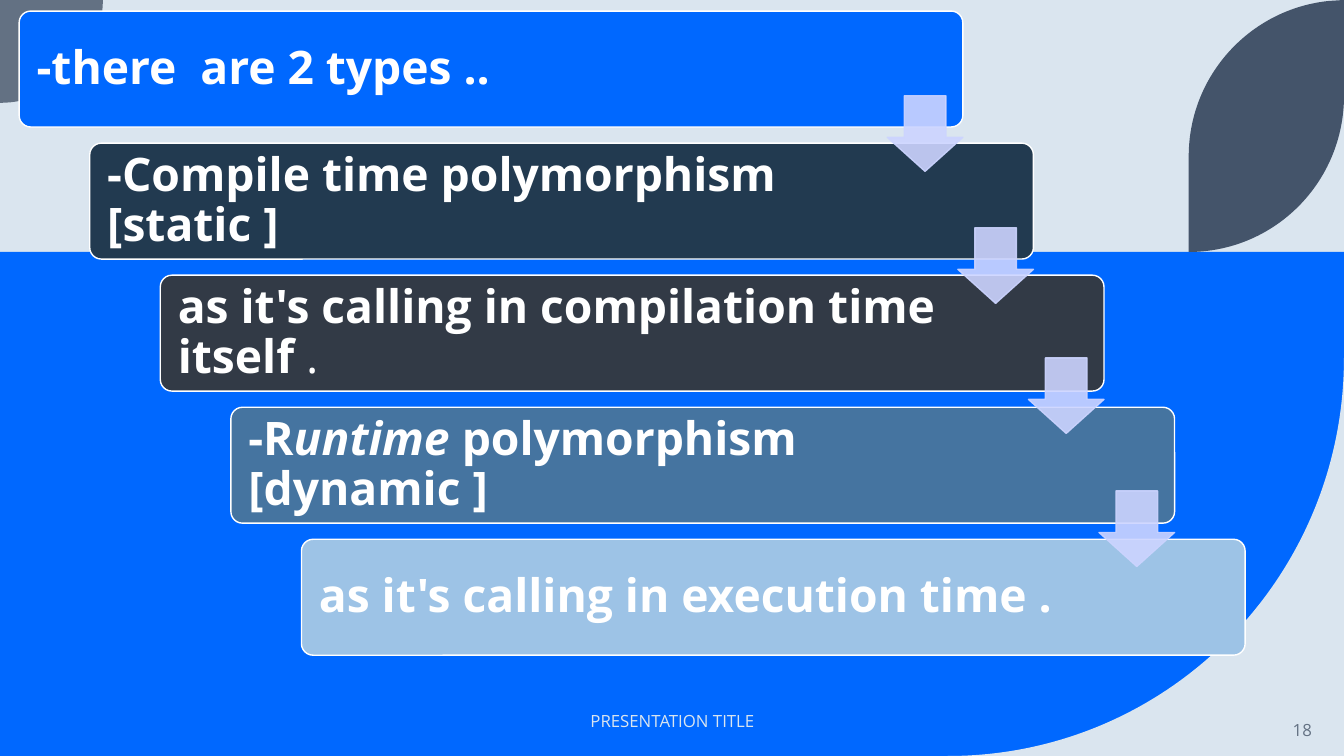
from lxml import etree
from pptx import Presentation
from pptx.dml.color import RGBColor
from pptx.enum.shapes import MSO_SHAPE
from pptx.enum.text import MSO_ANCHOR, PP_ALIGN
from pptx.oxml.ns import qn
from pptx.util import Inches, Pt

STEPS = [
    ("0068FF", [("-there\u00a0 are 2 types ..", "b")]),
    ("223A50", [("-Compile time polymorphism [static ]\u00a0 ", "b")]),
    ("323A46", [("as it's calling in compilation time itself", "b"), ("\u00a0.", "")]),
    ("4574A0", [("-R", "b"), ("untime", "bi"), (" polymorphism\u00a0 [dynamic ] ", "b")]),
    ("9DC3E6", [("as it's calling in execution time .", "b")]),
]
ARROW_TOPS = [0.95, 2.26, 3.55, 4.87]
FOOTER, PAGE = "PRESENTATION TITLE", "18"

THEME = dict(font="Open Sans", step_size=33, footer_size=12, pale="DAE5EF", blue="0068FF",
             grey="637183", slate="44546A", white="FFFFFF", arrow="CCD4FF", arrow_alpha=90)

WIDTH, HEIGHT = 13.33, 7.5
HORIZON = HEIGHT / 3
STEP_LEFT, STEP_TOP, STEP_W, STEP_H = 0.19, 0.11, 9.36, 1.15
SHIFT_X, SHIFT_Y = 0.7, 1.31
ARROW = 0.75
INSET, INSET_RIGHT = 0.14, 1.58
UNITS = 1000

CORNER = [(0, 0), (1.02, 0), [(1.02, 0.56), (0.56, 1.02), (0, 1.02)]]
SWEEP = [(WIDTH, 3.55), [(WIDTH, 5.73), (11.58, HEIGHT), (9.4, HEIGHT)], (WIDTH, HEIGHT)]
LEAF = [(WIDTH, 0), (WIDTH, 0.95), [(WIDTH, 1.81), (12.64, HORIZON), (11.79, HORIZON)],
        (11.79, 1.55), [(11.79, 0.75), (12.4, 0.09), (13.18, 0.01)]]

prs = Presentation()
prs.slide_width, prs.slide_height = Inches(WIDTH), Inches(HEIGHT)
slide = prs.slides.add_slide(prs.slide_layouts[6])
shapes = slide.shapes


def rgb(value):
    return RGBColor.from_string(value)


def paint(shape, fill, line=None):
    shape.shadow.inherit = False
    shape.fill.solid()
    shape.fill.fore_color.rgb = rgb(fill)
    if line:
        shape.line.color.rgb = rgb(line)
        shape.line.width = Pt(1)
    else:
        shape.line.fill.background()
    return shape


def preset(kind, box, fill, line=None, adjust=()):
    shape = paint(shapes.add_shape(kind, *map(Inches, box)), fill, line)
    for index, value in enumerate(adjust):
        shape.adjustments[index] = value
    return shape


def outline(path, fill):
    parts = [[(round(x * UNITS), round(y * UNITS)) for x, y in
              (part if isinstance(part, list) else [part])] for part in path]
    anchors = [part[-1] for part in parts]
    left, top = (min(axis) for axis in zip(*anchors))
    builder = shapes.build_freeform(*anchors[0], scale=Inches(1) / UNITS)
    builder.add_line_segments(anchors[1:], close=True)
    shape = paint(builder.convert_to_shape(), fill)
    commands = list(next(shape.element.spPr.iter(qn("a:path"))))
    for command, part in zip(commands, parts):
        if len(part) == 3:
            curve = etree.Element(qn("a:cubicBezTo"))
            for x, y in part:
                etree.SubElement(curve, qn("a:pt"), x=str(x - left), y=str(y - top))
            command.getparent().replace(command, curve)
    return shape


def write(shape, runs, size, color, align):
    frame = shape.text_frame
    frame.word_wrap = True
    frame.vertical_anchor = MSO_ANCHOR.MIDDLE
    paragraph = frame.paragraphs[0]
    paragraph.alignment = align
    for text, style in runs:
        run = paragraph.add_run()
        run.text = text
        font = run.font
        font.name, font.size, font.color.rgb = THEME["font"], Pt(size), rgb(color)
        font.bold, font.italic = "b" in style, "i" in style
    return frame


def label(box, text, color, align):
    write(shapes.add_textbox(*map(Inches, box)), [(text, "")],
          THEME["footer_size"], color, align)


slide.background.fill.solid()
slide.background.fill.fore_color.rgb = rgb(THEME["pale"])
preset(MSO_SHAPE.RECTANGLE, (0, HORIZON, WIDTH, HEIGHT - HORIZON), THEME["blue"])
for path, color in ((SWEEP, "pale"), (CORNER, "grey"), (LEAF, "slate")):
    outline(path, THEME[color])

label((4.42, 6.95, 4.5, 0.4), FOOTER, THEME["pale"], PP_ALIGN.CENTER)
label((11.36, 7.04, 1.75, 0.4), PAGE, THEME["grey"], PP_ALIGN.RIGHT)

for row, (color, runs) in enumerate(STEPS):
    box = (STEP_LEFT + row * SHIFT_X, STEP_TOP + row * SHIFT_Y, STEP_W, STEP_H)
    step = preset(MSO_SHAPE.ROUNDED_RECTANGLE, box, color, THEME["white"], [0.1])
    frame = write(step, runs, THEME["step_size"], THEME["white"], PP_ALIGN.LEFT)
    frame.margin_left = frame.margin_top = frame.margin_bottom = Inches(INSET)
    frame.margin_right = Inches(INSET_RIGHT)
    frame.paragraphs[0].line_spacing = 0.9

for row, top in enumerate(ARROW_TOPS):
    left = STEP_LEFT + STEP_W - ARROW + row * SHIFT_X
    arrow = preset(MSO_SHAPE.DOWN_ARROW, (left, top, ARROW, ARROW),
                   THEME["arrow"], THEME["arrow"], [0.55, 0.45])
    for color in arrow.element.spPr.iter(qn("a:srgbClr")):
        etree.SubElement(color, qn("a:alpha"), val=str(THEME["arrow_alpha"] * 1000))

prs.save("out.pptx")
